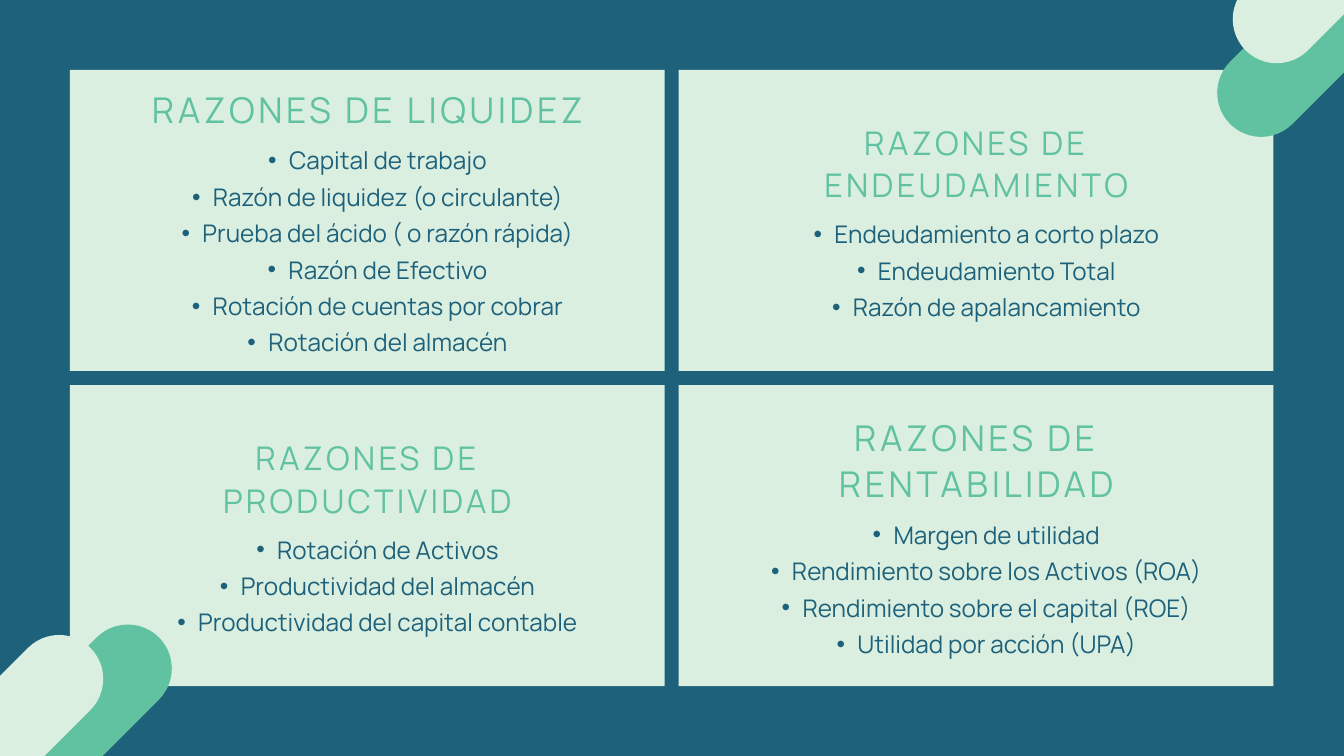
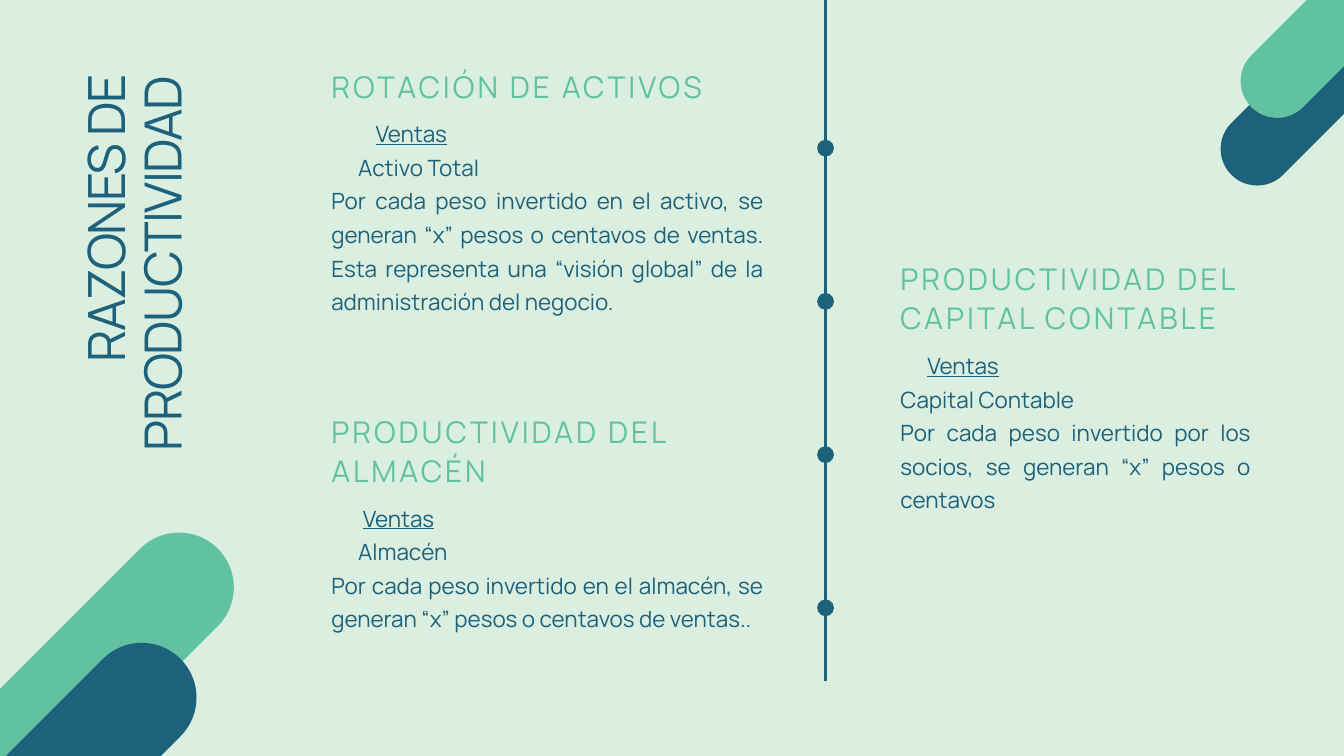
from dataclasses import dataclass

from lxml import etree
from pptx import Presentation
from pptx import util as u
from pptx.dml.color import RGBColor
from pptx.enum import shapes, text
from pptx.oxml import ns

TEAL, GREEN, MINT = "1D617A", "61C2A2", "DBEFE1"
FONT = "Manrope"
LEFT, MID, RIGHT, JUST = (text.PP_ALIGN.LEFT, text.PP_ALIGN.CENTER,
                          text.PP_ALIGN.RIGHT, text.PP_ALIGN.JUSTIFY)


@dataclass
class Box:
    left: float
    top: float
    width: float
    height: float

    def emu(self) -> list:
        return [u.Inches(n) for n in (self.left, self.top, self.width, self.height)]


@dataclass
class Style:
    size: float
    color: str
    lead: float  # line height as a multiple of the size
    track: float = 0  # letter spacing in points


@dataclass
class Card:
    col: int
    row: int
    title: str
    top: float
    height: float
    size: float
    items: list[str]


@dataclass
class Ratio:
    title: str
    box: Box  # the heading
    upper: str
    start: float
    end: float
    lower: str
    indent: float
    note: str


@dataclass
class Pill:
    box: Box
    color: str


def paint(fill, color: str) -> None:
    fill.solid()
    fill.fore_color.rgb = RGBColor.from_string(color)


def add_form(slide, kind, box: Box, color: str):
    form = slide.shapes.add_shape(kind, *box.emu())
    form.shadow.inherit = False
    paint(form.fill, color)
    form.line.fill.background()
    return form


def add_pill(slide, pill: Pill) -> None:
    form = add_form(slide, shapes.MSO_SHAPE.ROUNDED_RECTANGLE, pill.box, pill.color)
    form.adjustments[0] = 0.5
    form.rotation = 315


def add_box(slide, box: Box):
    form = slide.shapes.add_textbox(*box.emu())
    frame = form.text_frame
    frame.word_wrap = True
    frame.margin_left = frame.margin_right = frame.margin_top = frame.margin_bottom = 0
    return form


def add_para(frame, words: str, style: Style, align, line: bool = False):
    """Write one paragraph, reusing the empty first one; line underlines it."""
    para = frame.paragraphs[0]
    if para.runs:
        para = frame.add_paragraph()
    para.alignment = align
    para.line_spacing = u.Pt(round(style.size * style.lead, 1))
    run = para.add_run()
    run.text = words
    font = run.font
    font.name, font.size = FONT, u.Pt(style.size)
    font.color.rgb = RGBColor.from_string(style.color)
    if line:
        font.underline = True
    if style.track:
        run._r.get_or_add_rPr().set("spc", str(round(style.track * 100)))
    return para


def set_indent(para, left: float, first: float = 0):
    props = para._p.get_or_add_pPr()
    props.set("marL", str(u.Inches(left)))
    props.set("indent", str(u.Inches(first)))
    return props


def add_bullet(para) -> None:
    para.level = 1
    props = set_indent(para, 0.61, -0.31)
    etree.SubElement(props, ns.qn("a:buFont")).set("typeface", "Arial")
    etree.SubElement(props, ns.qn("a:buChar")).set("char", "•")


def add_tabs(para, stops: list[float]) -> None:
    tabs = etree.SubElement(para._p.get_or_add_pPr(), ns.qn("a:tabLst"))
    for stop in stops:
        tab = etree.SubElement(tabs, ns.qn("a:tab"))
        tab.set("pos", str(u.Inches(stop)))
        tab.set("algn", "l")


def add_head(slide, words: str, box: Box, size: float, align) -> None:
    style = Style(size, GREEN, 1.3, size / 10)
    add_para(add_box(slide, box).text_frame, words, style, align)


def add_card(slide, card: Card) -> None:
    shift = 9.06 * card.col
    panel = Box(1.04 + shift, 1.04 + 4.69 * card.row, 8.85, 4.48)
    add_form(slide, shapes.MSO_SHAPE.RECTANGLE, panel, MINT)
    left = 1.72 + shift
    add_head(slide, card.title, Box(left, card.top, 7.5, card.height), card.size, MID)
    top = card.top + card.height + 0.14
    frame = add_box(slide, Box(left, top, 7.5, 0.54 * len(card.items))).text_frame
    for item in card.items:
        add_bullet(add_para(frame, item, Style(26, TEAL, 1.5), MID))


def add_ratio(slide, ratio: Ratio) -> None:
    box, style = ratio.box, Style(24, TEAL, 1.5)
    add_head(slide, ratio.title, box, 32, LEFT)
    body = Box(box.left, box.top + box.height + 0.16, box.width, 2.46)
    frame = add_box(slide, body).text_frame
    upper = add_para(frame, f"\t{ratio.upper}\t", style, LEFT, line=True)
    add_tabs(upper, [ratio.start, ratio.end])
    set_indent(add_para(frame, ratio.lower, style, LEFT), ratio.indent)
    add_para(frame, ratio.note, style, JUST)


def add_axis(slide) -> None:
    x = u.Inches(12.29)
    line = slide.shapes.add_connector(shapes.MSO_CONNECTOR.STRAIGHT,
                                      x, 0, x, u.Inches(10.13))
    line.line.width = u.Pt(3)
    paint(line.line.fill, TEAL)
    etree.SubElement(line._element.spPr, ns.qn("a:effectLst"))
    for step in range(4):
        dot = Box(12.16, 2.08 + 2.28 * step, 0.25, 0.25)
        add_form(slide, shapes.MSO_SHAPE.OVAL, dot, TEAL)


CARDS = [
    Card(0, 0, "RAZONES DE LIQUIDEZ", 1.26, 0.66, 38, [
        "Capital de trabajo", "Razón de liquidez (o circulante)",
        "Prueba del ácido ( o razón rápida)", "Razón de Efectivo",
        "Rotación de cuentas por cobrar", "Rotación del almacén"]),
    Card(1, 0, "RAZONES DE ENDEUDAMIENTO", 1.78, 1.24, 34.9, [
        "Endeudamiento a corto plazo", "Endeudamiento Total",
        "Razón de apalancamiento"]),
    Card(0, 1, "RAZONES DE PRODUCTIVIDAD", 6.47, 1.24, 34.9, [
        "Rotación de Activos", "Productividad del almacén",
        "Productividad del capital contable"]),
    Card(1, 1, "RAZONES DE RENTABILIDAD", 6.14, 1.35, 38, [
        "Margen de utilidad", "Rendimiento sobre los Activos (ROA)",
        "Rendimiento sobre el capital (ROE)", "Utilidad por acción (UPA)"]),
]

RATIOS = [
    Ratio("ROTACIÓN DE ACTIVOS", Box(4.93, 0.97, 6.43, 0.56),
          "Ventas", 0.66, 2.39, "Activo Total", 0.4,
          "Por cada peso invertido en el activo, se generan “x” pesos o centavos "
          "de ventas. Esta representa una “visión global” de la administración "
          "del negocio."),
    Ratio("PRODUCTIVIDAD DEL ALMACÉN", Box(4.93, 6.11, 6.43, 1.14),
          "Ventas", 0.47, 2.14, "Almacén", 0.4,
          "Por cada peso invertido en el almacén, se generan “x” pesos o "
          "centavos de ventas.."),
    Ratio("PRODUCTIVIDAD DEL CAPITAL CONTABLE", Box(13.4, 3.84, 5.21, 1.14),
          "Ventas", 0.4, 2.2, "Capital Contable", 0,
          "Por cada peso invertido por los socios, se generan “x” pesos o "
          "centavos"),
]

GROUP_PILLS = [
    Pill(Box(17.58, -0.56, 4.95, 1.31), GREEN),
    Pill(Box(18.1, -0.96, 2.98, 1.31), MINT),
    Pill(Box(-1.86, 10.58, 4.95, 1.31), GREEN),
    Pill(Box(-1.37, 10.11, 3.18, 1.31), MINT),
]
RATIO_PILLS = [
    Pill(Box(17.82, 0.84, 3.44, 1.09), TEAL),
    Pill(Box(18.1, -0.21, 3.56, 1.09), GREEN),
    Pill(Box(-1.3, 9.23, 5.32, 1.63), GREEN),
    Pill(Box(-1.71, 10.81, 5.15, 1.63), TEAL),
]


def add_slide(deck, color: str):
    slide = deck.slides.add_slide(deck.slide_layouts[6])
    paint(slide.background.fill, color)
    return slide


def show_groups(deck) -> None:
    slide = add_slide(deck, TEAL)
    for card in CARDS:
        add_card(slide, card)
    for pill in GROUP_PILLS:
        add_pill(slide, pill)


def show_ratios(deck) -> None:
    slide = add_slide(deck, MINT)
    add_axis(slide)
    for ratio in RATIOS:
        add_ratio(slide, ratio)
    title = add_box(slide, Box(-1.1, 3.4, 6.25, 1.7))
    title.rotation = 270
    add_para(title.text_frame, "RAZONES DE PRODUCTIVIDAD",
             Style(55, TEAL, 1.1, -1.6), RIGHT)
    for pill in RATIO_PILLS:
        add_pill(slide, pill)


def main() -> None:
    deck = Presentation()
    deck.slide_width, deck.slide_height = u.Inches(20), u.Inches(11.25)
    show_groups(deck)
    show_ratios(deck)
    deck.save("out.pptx")


if __name__ == "__main__":
    main()
